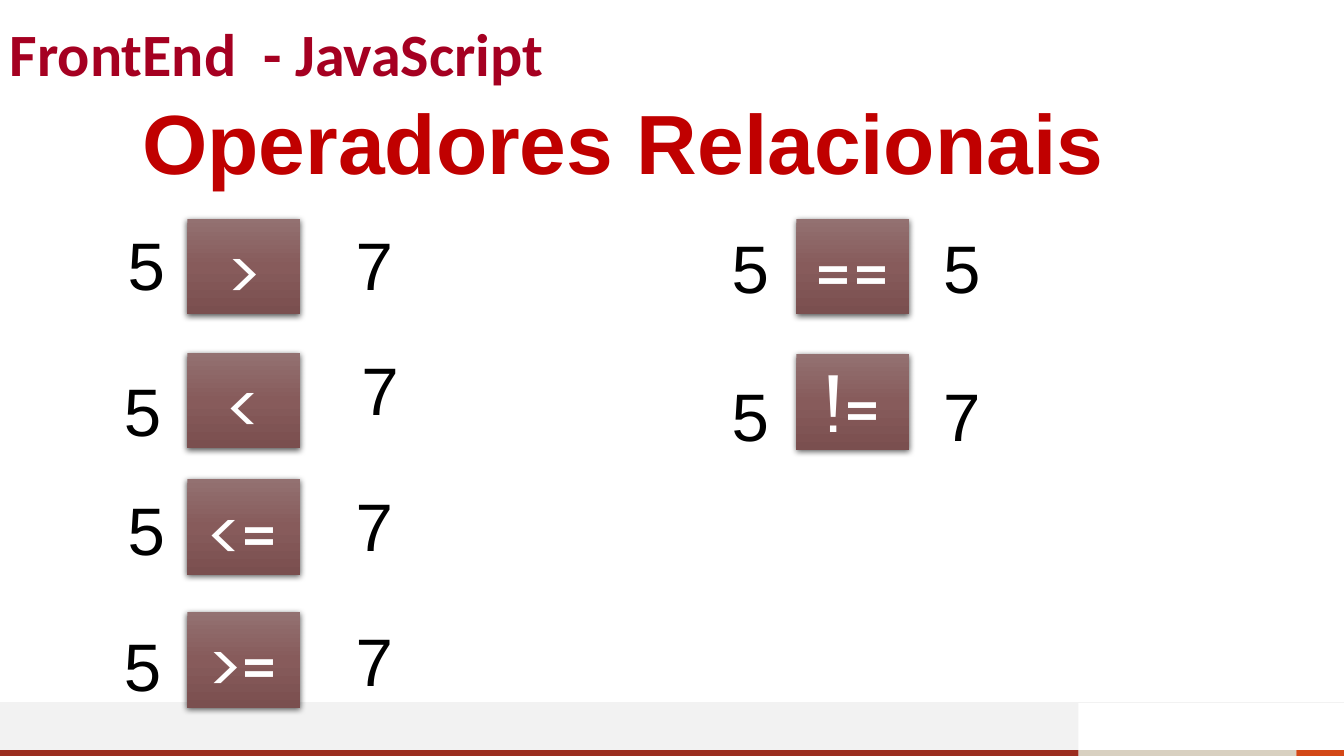
"""Slide on the JavaScript relational operators."""
from copy import deepcopy

from lxml.etree import SubElement
from pptx import Presentation
from pptx.dml.color import RGBColor
from pptx.enum.shapes import MSO_CONNECTOR as Connector, MSO_SHAPE as Preset
from pptx.enum.text import MSO_ANCHOR as Anchor, MSO_AUTO_SIZE as AutoSize, PP_ALIGN as Align
from pptx.oxml.ns import qn
from pptx.util import Cm, Pt

COLORS = {
    "course": "A50021", "title": "C00000", "number": "000000", "operator": "FFFFFF",
    "band": "F2F2F2", "red": "9B2D1F", "sand": "D8D0C0", "orange": "D34817", "shadow": "000000",
}
OPERATOR_GRADIENT = [(0, "937171"), (0.5, "875B5B"), (1, "7A4F4F")]

COURSE = "FrontEnd  - JavaScript"
TITLE = "Operadores Relacionais"
COMPARISONS = [
    (("5", 2.97, 5.51), (">", 4.72, 5.51), ("7", 8.71, 5.51)),
    (("5", 2.87, 9.19), ("<", 4.72, 8.89), ("7", 8.86, 8.66)),
    (("5", 2.97, 12.17), ("<=", 4.72, 12.07), ("7", 8.71, 12.07)),
    (("5", 2.87, 15.6), (">=", 4.72, 15.42), ("7", 8.71, 15.49)),
    (("5", 18.19, 5.59), ("==", 20.07, 5.51), ("5", 23.52, 5.59)),
    (("5", 18.19, 9.32), ("!=", 20.07, 8.92), ("7", 23.52, 9.32)),
]
WIDTH, HEIGHT = 33.87, 19.05
BAND_TOP, STRIPE_TOP = 17.7, 18.9
SAND_LEFT, ORANGE_LEFT = 27.18, 32.67
FOOTER = [
    ("sand", SAND_LEFT, STRIPE_TOP, ORANGE_LEFT, HEIGHT),
    ("band", 0, BAND_TOP, SAND_LEFT, STRIPE_TOP),
    ("red", 0, STRIPE_TOP, SAND_LEFT, HEIGHT),
    ("orange", ORANGE_LEFT, STRIPE_TOP, WIDTH, HEIGHT),
]


def rgb(name):
    return RGBColor.from_string(COLORS[name])


def write(shape, text, font_name, size, color, bold=False, spacing=1.0, align=Align.LEFT):
    shape.text_frame.text = text
    paragraph = shape.text_frame.paragraphs[0]
    paragraph.alignment = align
    paragraph.line_spacing = spacing
    font = paragraph.runs[0].font
    font.name, font.size, font.bold = font_name, Pt(size), bold
    font.color.rgb = rgb(color)


def add_rectangle(slide, left, top, width, height):
    shape = slide.shapes.add_shape(Preset.RECTANGLE, Cm(left), Cm(top), Cm(width), Cm(height))
    shape.line.fill.background()
    shape.shadow.inherit = False
    return shape


def add_footer(slide):
    for color, left, top, right, bottom in FOOTER:
        shape = add_rectangle(slide, left, top, right - left, bottom - top)
        shape.fill.solid()
        shape.fill.fore_color.rgb = rgb(color)
    line = slide.shapes.add_connector(
        Connector.STRAIGHT, Cm(WIDTH), Cm(BAND_TOP), Cm(0), Cm(BAND_TOP))
    line.line.color.rgb = rgb("band")
    line.line.width = Pt(0.5)
    SubElement(line._element.spPr, qn("a:effectLst"))


def add_headings(slide):
    course = slide.shapes.add_textbox(Cm(0), Cm(0.56), Cm(29.21), Cm(1.88))
    course.text_frame.word_wrap = True
    course.text_frame.vertical_anchor = Anchor.MIDDLE
    write(course, COURSE, "Calibri", 42.9, "course", bold=True, spacing=0.8)

    title = slide.shapes.title
    title.left, title.top, title.width, title.height = Cm(3.33), Cm(0.94), Cm(28.24), Cm(8.94)
    frame = title.text_frame
    frame.auto_size = AutoSize.NONE
    frame.vertical_anchor = Anchor.TOP
    frame.margin_top = Cm(1.63)
    write(title, TITLE, "Arial", 60, "title", bold=True, spacing=0.9)


def add_operator(slide, text, left, top):
    shape = add_rectangle(slide, left, top, 2.85, 2.41)
    shape.fill.gradient()
    shape.fill.gradient_angle = 270
    properties = shape._element.spPr
    stops = properties.find(".//" + qn("a:gsLst"))
    stops.append(deepcopy(stops[0]))
    for stop, (position, color) in zip(shape.fill.gradient_stops, OPERATOR_GRADIENT):
        stop.position = position
        stop.color.rgb = RGBColor.from_string(color)
    shadow = SubElement(
        properties.find(qn("a:effectLst")), qn("a:outerShdw"),
        blurRad=str(Pt(4.5)), dist=str(Pt(1.5)), dir="5400000", rotWithShape="0")
    shadow_color = SubElement(shadow, qn("a:srgbClr"), val=COLORS["shadow"])
    SubElement(shadow_color, qn("a:alpha"), val="63000")
    shape.text_frame.vertical_anchor = Anchor.MIDDLE
    write(shape, text, "Cabin", 54, "operator", align=Align.CENTER)


def add_number(slide, text, left, top):
    box = slide.shapes.add_textbox(Cm(left), Cm(top), Cm(1.47), Cm(2.31))
    box.text_frame.word_wrap = False
    box.text_frame.auto_size = AutoSize.SHAPE_TO_FIT_TEXT
    write(box, text, "Arial", 48, "number")


def main():
    presentation = Presentation()
    presentation.slide_width, presentation.slide_height = Cm(WIDTH), Cm(HEIGHT)
    slide = presentation.slides.add_slide(presentation.slide_layouts[5])
    add_footer(slide)
    add_headings(slide)
    for first, operator, second in COMPARISONS:
        add_operator(slide, *operator)
        add_number(slide, *first)
        add_number(slide, *second)
    presentation.save("out.pptx")


if __name__ == "__main__":
    main()
